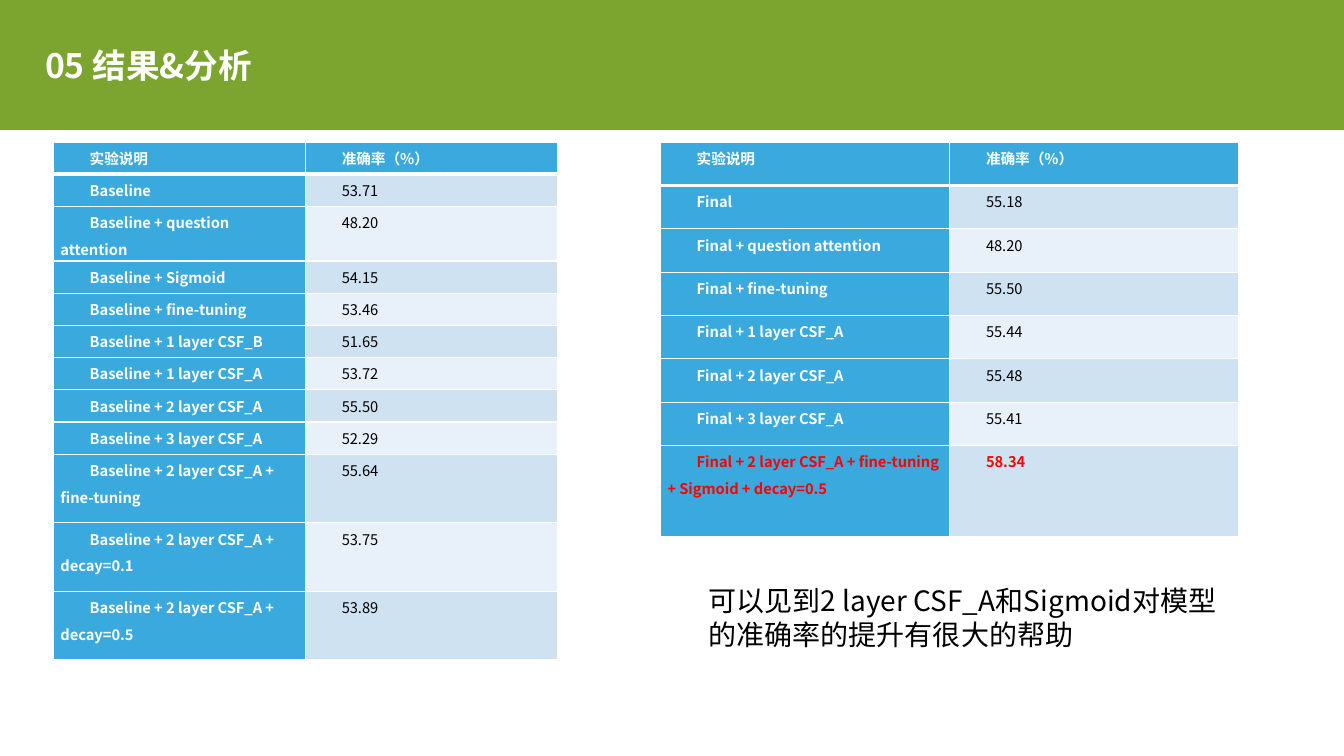
from lxml.etree import SubElement
from pptx import Presentation
from pptx.dml.color import RGBColor
from pptx.enum.shapes import MSO_SHAPE
from pptx.enum.text import MSO_ANCHOR
from pptx.oxml import parse_xml
from pptx.oxml.ns import nsdecls, qn
from pptx.util import Emu, Inches, Pt

COLORS = {
    "band": "7BA52F", "white": "FFFFFF", "black": "000000", "red": "FF0000",
    "label": "39A9DE", "odd": "CEE2F2", "even": "E8F1F9",
}
FONT = "Noto Sans CJK SC"
HEADER = ("实验说明", "准确率（%）")

baseline_rows = [
    ("Baseline", "53.71"),
    ("Baseline + question attention", "48.20"),
    ("Baseline + Sigmoid", "54.15"),
    ("Baseline + fine-tuning", "53.46"),
    ("Baseline + 1 layer CSF_B", "51.65"),
    ("Baseline + 1 layer CSF_A", "53.72"),
    ("Baseline + 2 layer CSF_A", "55.50"),
    ("Baseline + 3 layer CSF_A", "52.29"),
    ("Baseline + 2 layer CSF_A + fine-tuning", "55.64"),
    ("Baseline + 2 layer CSF_A + decay=0.1", "53.75"),
    ("Baseline + 2 layer CSF_A + decay=0.5", "53.89"),
]
final_rows = [
    ("Final", "55.18"),
    ("Final + question attention", "48.20"),
    ("Final + fine-tuning", "55.50"),
    ("Final + 1 layer CSF_A", "55.44"),
    ("Final + 2 layer CSF_A", "55.48"),
    ("Final + 3 layer CSF_A", "55.41"),
    ("Final + 2 layer CSF_A + fine-tuning + Sigmoid + decay=0.5", "58.34"),
]
baseline_heights = [0.32] * 2 + [0.54] + [0.32] * 6 + [0.68] * 3
final_heights = [0.43] * 7 + [0.9]
tables = [
    (0.53, 2.5, baseline_heights, baseline_rows, None),
    (6.55, 2.87, final_heights, final_rows, len(final_rows)),
]


def write(paragraph, text, size, color, bold=False):
    paragraph.text = text
    font = paragraph.font
    font.name, font.size, font.bold = FONT, Pt(size), bold
    font.color.rgb = RGBColor.from_string(COLORS[color])
    properties = paragraph._p.get_or_add_pPr().find(qn("a:defRPr"))
    SubElement(properties, qn("a:ea")).set("typeface", FONT)


def add_borders(cell, row):
    properties = cell._tc.get_or_add_tcPr()
    widths = {"L": 1, "R": 1, "T": 3 if row == 1 else 1, "B": 3 if row == 0 else 1}
    for position, (side, width) in enumerate(widths.items()):
        properties.insert(position, parse_xml(
            f'<a:ln{side} {nsdecls("a")} w="{Pt(width)}"><a:solidFill>'
            f'<a:srgbClr val="{COLORS["white"]}"/></a:solidFill></a:ln{side}>'))


presentation = Presentation()
presentation.slide_width, presentation.slide_height = Inches(13.33), Inches(7.5)
slide = presentation.slides.add_slide(presentation.slide_layouts[6])
slide.background.fill.solid()
slide.background.fill.fore_color.rgb = RGBColor.from_string(COLORS["band"])

band_height = Inches(1.29)
body = slide.shapes.add_shape(
    MSO_SHAPE.RECTANGLE, 0, band_height,
    presentation.slide_width, Emu(presentation.slide_height - band_height))
body.shadow.inherit = False
body.fill.solid()
body.fill.fore_color.rgb = RGBColor.from_string(COLORS["white"])
body.line.fill.background()

title = slide.shapes.add_textbox(Inches(0.35), Inches(0.28), Inches(5.8), Inches(0.79))
title.text_frame.word_wrap = True
title.text_frame.vertical_anchor = MSO_ANCHOR.MIDDLE
paragraph = title.text_frame.paragraphs[0]
paragraph.line_spacing, paragraph.space_before = 0.9, Pt(10)
write(paragraph, "05 结果&分析", 24, "white", True)

for left, column_width, heights, results, best_row in tables:
    table = slide.shapes.add_table(
        len(heights), 2, Inches(left), Inches(1.41),
        Inches(2 * column_width), Inches(sum(heights))).table
    table.first_row = table.horz_banding = False
    for column in table.columns:
        column.width = Inches(column_width)
    for row, (height, texts) in enumerate(zip(heights, [HEADER] + results)):
        table.rows[row].height = Inches(height)
        for column, text in enumerate(texts):
            cell = table.cell(row, column)
            labelled = row == 0 or column == 0
            best = row == best_row
            fill = "label" if labelled else "odd" if row % 2 else "even"
            color = "red" if best else "white" if labelled else "black"
            cell.margin_left = cell.margin_right = Inches(0.07)
            cell.margin_top = cell.margin_bottom = 0
            cell.fill.solid()
            cell.fill.fore_color.rgb = RGBColor.from_string(COLORS[fill])
            add_borders(cell, row)
            paragraph = cell.text_frame.paragraphs[0]
            paragraph.line_spacing, paragraph.space_after = 1.25, Pt(6)
            write(paragraph, text, 10.5, color, labelled or best)
            paragraph._p.pPr.set("marL", "0")
            paragraph._p.pPr.set("indent", str(Inches(0.29)))

conclusion = slide.shapes.add_textbox(Inches(6.93), Inches(5.74), Inches(5.3), Inches(0.77))
conclusion.text_frame.word_wrap = True
write(conclusion.text_frame.paragraphs[0],
      "可以见到2 layer CSF_A和Sigmoid对模型的准确率的提升有很大的帮助", 20, "black")

presentation.save("out.pptx")
